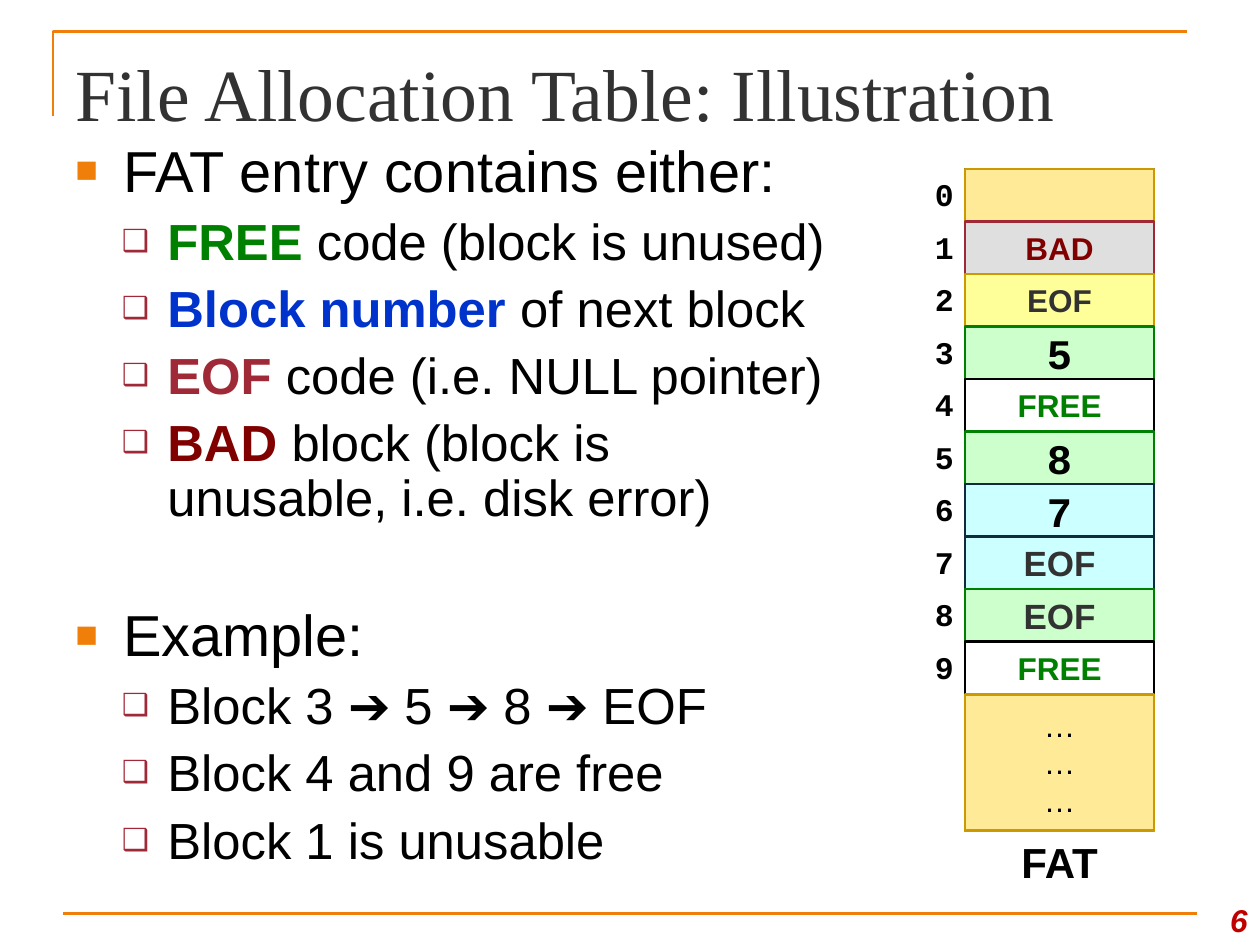
from lxml.etree import SubElement
from pptx import Presentation
from pptx.dml.color import RGBColor
from pptx.enum.shapes import MSO_CONNECTOR, MSO_SHAPE
from pptx.enum.text import MSO_ANCHOR, MSO_AUTO_SIZE, PP_ALIGN
from pptx.oxml.ns import qn
from pptx.util import Inches, Pt

BLACK, WHITE, DARK = "000000", "FFFFFF", "323232"
ORANGE, RED, GREEN, MAROON = "F07F09", "9F2936", "008000", "800000"
GOLD, SAND, MINT, AQUA, NAVY = "CC9900", "FFEB97", "CCFFCC", "CCFFFF", "0E2C3E"
SANS, SERIF, MONO = "Arial", "Times New Roman", "Courier New"


def color(value):
    return RGBColor.from_string(value)


class SlideBuilder:
    """Holds the current slide and the shared line style."""

    line_width = Pt(1.5)

    def __init__(self, slide):
        self.slide = slide

    def style_font(self, font, size, name=SANS, tint=BLACK, bold=False, italic=False):
        font.size, font.name = Pt(size), name
        font.bold, font.italic = bold, italic
        font.color.rgb = color(tint)

    def style_line(self, line, tint):
        line.color.rgb = color(tint)
        line.width = self.line_width

    def set_text(self, frame, text, align=PP_ALIGN.CENTER, **font):
        frame.text = text
        for paragraph in frame.paragraphs:
            paragraph.alignment = align
            self.style_font(paragraph.font, **font)

    def title(self, text, left, top, width, height):
        shape = self.slide.shapes.title
        shape.left, shape.top = Inches(left), Inches(top)
        shape.width, shape.height = Inches(width), Inches(height)
        frame = shape.text_frame
        frame.auto_size = MSO_AUTO_SIZE.NONE
        frame.vertical_anchor = MSO_ANCHOR.BOTTOM
        frame.margin_bottom = 0
        self.set_text(frame, text, PP_ALIGN.LEFT, size=42, name=SERIF, tint=DARK)

    def corner(self, points):
        scaled = [(Inches(x), Inches(y)) for x, y in points]
        builder = self.slide.shapes.build_freeform(*scaled[0])
        builder.add_line_segments(scaled[1:], close=False)
        shape = builder.convert_to_shape()
        shape.shadow.inherit = False
        shape.fill.background()
        self.style_line(shape.line, ORANGE)

    def rule(self, left, right, y):
        connector = self.slide.shapes.add_connector(
            MSO_CONNECTOR.STRAIGHT, Inches(left), Inches(y), Inches(right), Inches(y))
        self.style_line(connector.line, ORANGE)
        SubElement(connector._element.spPr, qn("a:effectLst"))

    def text_box(self, left, top, width, height, wrap=True):
        box = self.slide.shapes.add_textbox(
            Inches(left), Inches(top), Inches(width), Inches(height))
        box.text_frame.word_wrap = wrap
        return box.text_frame

    def label(self, text, left, top, width, height, wrap=True,
              align=PP_ALIGN.CENTER, anchor=MSO_ANCHOR.TOP, **font):
        frame = self.text_box(left, top, width, height, wrap)
        frame.vertical_anchor = anchor
        self.set_text(frame, text, align, **font)

    def cell(self, text, left, top, width, height, fill, line, alpha=None, **font):
        shape = self.slide.shapes.add_shape(
            MSO_SHAPE.RECTANGLE, Inches(left), Inches(top), Inches(width), Inches(height))
        shape.shadow.inherit = False
        shape.fill.solid()
        shape.fill.fore_color.rgb = color(fill)
        if alpha:
            solid = shape._element.spPr.find(qn("a:solidFill"))
            SubElement(solid[0], qn("a:alpha"), val=str(alpha * 1000))
        self.style_line(shape.line, line)
        if text:
            frame = shape.text_frame
            frame.word_wrap = False
            frame.vertical_anchor = MSO_ANCHOR.MIDDLE
            self.set_text(frame, text, **font)

    def bullet(self, paragraph, level, runs, space_before):
        indent, hanging, mark, tint, percent, size = BULLET_LEVELS[level]
        paragraph.level = level
        properties = paragraph._p.get_or_add_pPr()
        properties.set("marL", str(Inches(indent)))
        properties.set("indent", str(-Inches(hanging)))
        bullet_color = SubElement(properties, qn("a:buClr"))
        SubElement(bullet_color, qn("a:srgbClr"), val=tint)
        SubElement(properties, qn("a:buSzPct"), val=str(percent * 1000))
        SubElement(properties, qn("a:buFont"), typeface=SANS)
        SubElement(properties, qn("a:buChar"), char=mark)
        paragraph.line_spacing = 0.9
        paragraph.space_before = Pt(space_before)
        self.style_font(paragraph.font, size)
        for text, emphasis in runs:
            run = paragraph.add_run()
            run.text = text
            if emphasis:
                run.font.bold = True
                run.font.color.rgb = color(emphasis)


# Indent, hanging, mark, mark colour, mark size in percent, text size
BULLET_LEVELS = [(0.38, 0.38, "■", ORANGE, 65, 33), (0.73, 0.36, "❑", RED, 60, 29)]

# Level, runs with emphasis colour, space before
BULLETS = [
    (0, [("FAT entry contains either:", None)], 0),
    (1, [("FREE", GREEN), (" code (block is unused)", None)], 7),
    (1, [("Block number", "0033CC"), (" of next block", None)], 7),
    (1, [("EOF", RED), (" code (i.e. NULL pointer)", None)], 7),
    (1, [("BAD", MAROON), (" block (block is unusable, i.e. disk error)", None)], 7),
    (0, [("Example:", None)], 45),
    (1, [("Block 3 ➔ 5 ➔ 8 ➔ EOF", None)], 7),
    (1, [("Block 4 and 9 are free", None)], 7),
    (1, [("Block 1 is unusable", None)], 7),
]

# Text styles of the table entries
NUMBER = dict(size=24, name=MONO, bold=True)
FREE = dict(size=18, tint=GREEN, bold=True)
END = dict(size=20, tint=DARK, bold=True)

# Text, fill, line, text style
ENTRIES = [
    ("", SAND, GOLD, {}),
    ("BAD", "C0C0C0", RED, dict(size=18, tint=MAROON, bold=True, alpha=50)),
    ("EOF", "FFFF99", GOLD, dict(END, size=18)),
    ("5", MINT, GREEN, NUMBER),
    ("FREE", WHITE, BLACK, FREE),
    ("8", MINT, GREEN, NUMBER),
    ("7", AQUA, NAVY, NUMBER),
    ("EOF", AQUA, NAVY, END),
    ("EOF", MINT, GREEN, END),
    ("FREE", WHITE, BLACK, FREE),
]

TABLE_LEFT, TABLE_TOP, TABLE_WIDTH, TABLE_HEIGHT = 7.66, 1.34, 1.5, 5.25
REST_HEIGHT = 1.08
ROW_HEIGHT = (TABLE_HEIGHT - REST_HEIGHT) / len(ENTRIES)


def main():
    presentation = Presentation()
    presentation.slide_width, presentation.slide_height = Inches(10), Inches(7.5)
    builder = SlideBuilder(presentation.slides.add_slide(presentation.slide_layouts[5]))

    # Frame lines, title and slide number
    builder.corner([(0.42, 0.92), (0.42, 0.25), (9.42, 0.25)])
    builder.rule(0.5, 9.5, 7.25)
    builder.title("File Allocation Table: Illustration", 0.5, 0.3, 9, 0.78)
    builder.label("6", 9.42, 7, 0.58, 0.5, align=PP_ALIGN.RIGHT, anchor=MSO_ANCHOR.BOTTOM,
                  size=18, tint="C00000", bold=True, italic=True)

    # Bulleted text
    body = builder.text_box(0.5, 1.08, 6.17, 6)
    for index, (level, runs, space_before) in enumerate(BULLETS):
        paragraph = body.add_paragraph() if index else body.paragraphs[0]
        builder.bullet(paragraph, level, runs, space_before)

    # Table backing, numbered entries and remaining rows
    builder.cell("", TABLE_LEFT, TABLE_TOP, TABLE_WIDTH, TABLE_HEIGHT, WHITE, BLACK)
    for index, (text, fill, line, style) in enumerate(ENTRIES):
        top = TABLE_TOP + index * ROW_HEIGHT
        builder.cell(text, TABLE_LEFT, top, TABLE_WIDTH, ROW_HEIGHT, fill, line, **style)
        builder.label(str(index), 7.32, top, 0.35, 0.4, wrap=False,
                      size=18, name=MONO, bold=True)
    bottom = TABLE_TOP + TABLE_HEIGHT
    builder.cell("…\n…\n…", TABLE_LEFT, bottom - REST_HEIGHT, TABLE_WIDTH, REST_HEIGHT,
                 SAND, GOLD, size=18)
    builder.label("FAT", TABLE_LEFT, bottom, TABLE_WIDTH, 0.49, size=24, bold=True)

    presentation.save("out.pptx")


if __name__ == "__main__":
    main()
